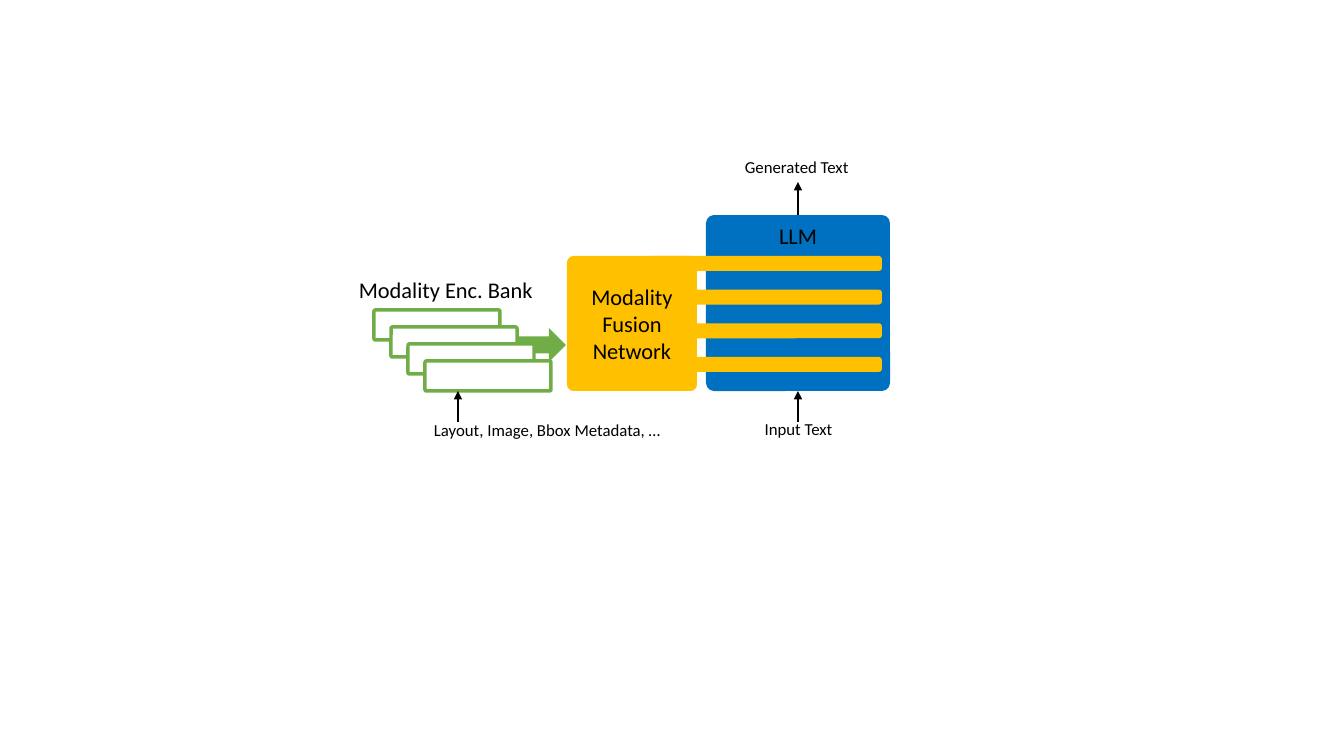
import pptx
import pptx.util
import pptx.dml.color
import pptx.enum.shapes
import pptx.enum.text
import lxml.etree
from pptx.oxml.ns import qn

PX = 914400 / 100.8  # EMU in one px
PRESET = pptx.enum.shapes.MSO_SHAPE
ALIGN = pptx.enum.text.PP_ALIGN
ANCHOR = pptx.enum.text.MSO_ANCHOR

THEME = {
    "font": "Calibri", "heading": 16, "label": 12,
    "ink": "000000", "encoder": "70AD47", "paper": "FFFFFF",
    "fusion": "FFC000", "llm": "0070C0",
    "encoder_line": 2.5, "arrow_line": 2,
}

# Boxes are (left, top, width, height) in px
SLIDE = (1344, 756)
BANK_ARROW = (516, 328, 50, 34)
LLM = (706, 215, 184, 176)
FUSION = (567, 256, 130, 135)
FIRST_BAR, BAR_COUNT, BAR_STEP = (647, 256, 235, 15), 4, 101 / 3
FIRST_ENCODER, ENCODER_COUNT, ENCODER_STEP = (374, 310, 126, 30), 4, 17
FUSION_TEXT = ["Modality\vFusion", "Network"]

LABELS = [
    ("Generated Text", (735, 152, 125, 30), "label", ALIGN.LEFT),
    ("Input Text", (754, 414, 89, 30), "label", ALIGN.CENTER),
    ("Modality Enc. Bank", (349, 271, 196, 37), "heading", ALIGN.LEFT),
    ("Layout, Image, Bbox Metadata, …", (424, 415, 250, 30), "label", ALIGN.LEFT),
]
# Upward arrows: x, start y, end y
ENCODER_INPUT = (458, 422, 391)
LLM_INPUT = (798, 422, 391)
LLM_OUTPUT = (798, 215, 182)


def emu(*lengths):
    return [pptx.util.Emu(round(length * PX)) for length in lengths]


def color(name):
    return pptx.dml.color.RGBColor.from_string(THEME[name])


def write(shape, lines, size, align, anchor=ANCHOR.TOP):
    frame = shape.text_frame
    frame.text = "\n".join(lines)
    frame.vertical_anchor = anchor
    for para in frame.paragraphs:
        para.alignment = align
        para.font.name = THEME["font"]
        para.font.size = pptx.util.Pt(THEME[size])
        para.font.color.rgb = color("ink")


def add_block(page, preset, box, fill, rounding=None, line=None):
    shape = page.shapes.add_shape(preset, *emu(*box))
    shape.shadow.inherit = False
    shape.fill.solid()
    shape.fill.fore_color.rgb = color(fill)
    if rounding is not None:
        shape.adjustments[0] = rounding
    if line:
        shape.line.color.rgb = color(line)
        shape.line.width = pptx.util.Pt(THEME["encoder_line"])
    else:
        shape.line.fill.background()
    return shape


def add_arrow(page, x, start, end):
    arrow = page.shapes.add_connector(
        pptx.enum.shapes.MSO_CONNECTOR.STRAIGHT, *emu(x, start, x, end))
    arrow.line.color.rgb = color("ink")
    arrow.line.width = pptx.util.Pt(THEME["arrow_line"])
    line = arrow.line._get_or_add_ln()
    lxml.etree.SubElement(line, qn("a:tailEnd"), type="triangle")
    lxml.etree.SubElement(arrow._element.spPr, qn("a:effectLst"))


def add_label(page, text, box, size, align):
    label = page.shapes.add_textbox(*emu(*box))
    write(label, [text], size, align)
    label.text_frame.word_wrap = False
    label.text_frame.auto_size = pptx.enum.text.MSO_AUTO_SIZE.SHAPE_TO_FIT_TEXT


def main():
    deck = pptx.Presentation()
    deck.slide_width, deck.slide_height = emu(*SLIDE)
    page = deck.slides.add_slide(deck.slide_layouts[6])

    add_block(page, PRESET.RIGHT_ARROW, BANK_ARROW, "encoder")
    add_arrow(page, *LLM_INPUT)
    llm = add_block(page, PRESET.ROUNDED_RECTANGLE, LLM, "llm", 0.046)
    write(llm, ["LLM"], "heading", ALIGN.CENTER)

    left, top, width, height = FIRST_BAR
    for index in range(BAR_COUNT):
        bar = (left, top + index * BAR_STEP, width, height)
        add_block(page, PRESET.ROUNDED_RECTANGLE, bar, "fusion", 0.215)
    fusion = add_block(page, PRESET.ROUNDED_RECTANGLE, FUSION, "fusion", 0.05)
    write(fusion, FUSION_TEXT, "heading", ALIGN.CENTER, ANCHOR.MIDDLE)
    add_arrow(page, *LLM_OUTPUT)

    left, top, width, height = FIRST_ENCODER
    for index in range(ENCODER_COUNT):
        shift = index * ENCODER_STEP
        encoder = (left + shift, top + shift, width, height)
        add_block(page, PRESET.ROUNDED_RECTANGLE, encoder, "paper", 0.05, "encoder")
    add_arrow(page, *ENCODER_INPUT)

    for label in LABELS:
        add_label(page, *label)
    deck.save("out.pptx")


if __name__ == "__main__":
    main()
